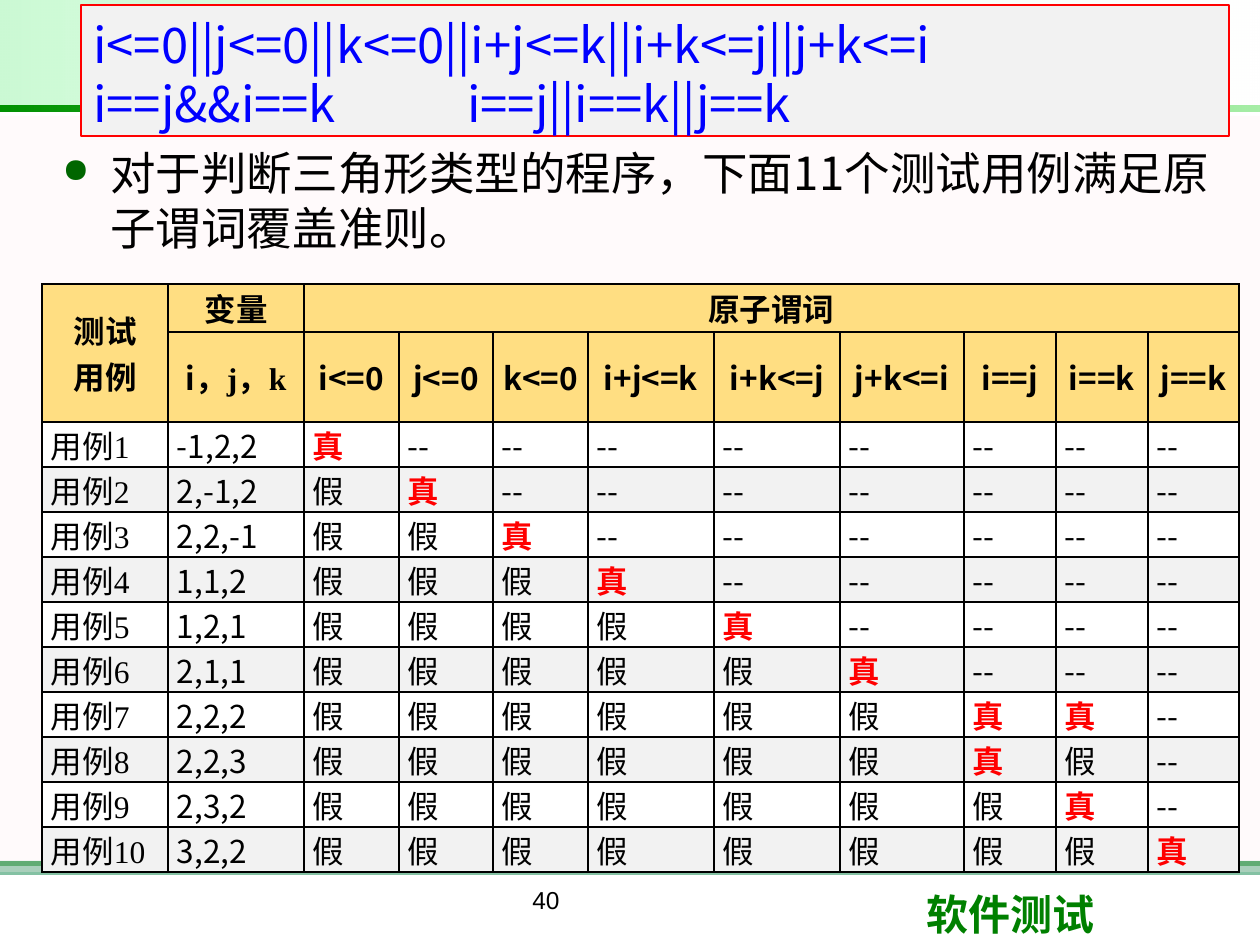
import pptx
import pptx.util
import pptx.dml.color
import pptx.enum.shapes
import pptx.enum.text
import pptx.oxml.ns
import lxml.etree

RGBColor = pptx.dml.color.RGBColor
ALIGN = pptx.enum.text.PP_ALIGN
ANCHOR = pptx.enum.text.MSO_ANCHOR
qn = pptx.oxml.ns.qn

EMU_PER_PX = 914400 / 126
WHITE = RGBColor(0xFF, 0xFF, 0xFF)
BLACK = RGBColor(0, 0, 0)
RED = RGBColor(0xFF, 0, 0)
BLUE = RGBColor(0, 0, 0xFF)
GREEN = RGBColor(0, 0x80, 0)
SEA_GREEN = RGBColor(0x33, 0x99, 0x66)
BLUSH = RGBColor(0xFF, 0xF0, 0xF5)
MINT = RGBColor(0x09, 0xE7, 0x33)
BRIGHT_GREEN = RGBColor(0, 0xCC, 0)
DEEP_GREEN = RGBColor(0, 0x92, 0)
BULLET_GREEN = RGBColor(0, 0x66, 0)
AMBER = RGBColor(0xFF, 0xC0, 0)
PALE_GREY = RGBColor(0xF2, 0xF2, 0xF2)

SANS = "Noto Sans CJK SC"
SERIF = "Times New Roman"
ARIAL = "Arial"

COLUMNS = [126, 136, 95, 94, 95, 126, 126, 124, 92, 92, 91]
PREDICATES = ["i<=0", "j<=0", "k<=0", "i+j<=k", "i+k<=j", "j+k<=i", "i==j", "i==k", "j==k"]
CASES = [
    ("-1,2,2", "真--------"),
    ("2,-1,2", "假真-------"),
    ("2,2,-1", "假假真------"),
    ("1,1,2", "假假假真-----"),
    ("1,2,1", "假假假假真----"),
    ("2,1,1", "假假假假假真---"),
    ("2,2,2", "假假假假假假真真-"),
    ("2,2,3", "假假假假假假真假-"),
    ("2,3,2", "假假假假假假假真-"),
    ("3,2,2", "假假假假假假假假真"),
]
ROWS = [48, 90] + [45] * len(CASES)


def px(length):
    return pptx.util.Emu(round(length * EMU_PER_PX))


def add_child(parent, tag, **attributes):
    return lxml.etree.SubElement(parent, qn(tag), attributes)


def set_opacity(colour_element, percent):
    add_child(colour_element, "a:alpha", val=str(percent * 1000))


def style_font(font, properties, name, size, colour, bold):
    font.size = pptx.util.Pt(size)
    font.bold = bold
    font.color.rgb = colour
    font.name = name
    latin = properties().find(qn("a:latin"))
    east_asian = lxml.etree.Element(qn("a:ea"), typeface=SANS)
    latin.addnext(east_asian)


def style_para(para, name, size, colour=BLACK, bold=False, align=ALIGN.LEFT):
    para.alignment = align
    style_font(para.font, lambda: para._p.pPr.find(qn("a:defRPr")), name, size, colour, bold)


def add_text(page, box, text, name, size, colour=BLACK, bold=False, align=ALIGN.LEFT):
    frame = page.shapes.add_textbox(*map(px, box)).text_frame
    frame.word_wrap = True
    para = frame.paragraphs[0]
    para.text = text
    style_para(para, name, size, colour, bold, align)
    return frame


def add_band(page, box, colour, opacity=100):
    band = page.shapes.add_shape(pptx.enum.shapes.MSO_SHAPE.RECTANGLE, *map(px, box))
    band.shadow.inherit = False
    band.line.fill.background()
    band.fill.solid()
    band.fill.fore_color.rgb = colour
    if opacity < 100:
        set_opacity(band._element.spPr.find(qn("a:solidFill") + "/" + qn("a:srgbClr")), opacity)
    return band


def add_gradient_band(page, box, stops):
    band = add_band(page, box, WHITE)
    band.rotation = 180
    band.fill.gradient()
    band.fill.gradient_angle = 0
    for stop, position, (colour, opacity) in zip(band.fill.gradient_stops, (0, 1), stops):
        stop.position = position
        stop.color.rgb = colour
    gradient = band._element.spPr.find(qn("a:gradFill"))
    for element, (colour, opacity) in zip(gradient.iter(qn("a:srgbClr")), stops):
        set_opacity(element, opacity)


def draw_backdrop(page, box):
    left, top, width, height = box
    add_band(page, (left, top + 861, width, 5), GREEN)
    add_band(page, (left, top + 861, width, 14), SEA_GREEN, 60)
    add_band(page, (left, top + 116, width, 756), BLUSH, 30)
    add_text(page, (left + 914, top + 882, 299, 63), "软件测试", ARIAL, 24, GREEN, True)
    add_gradient_band(page, (left, top, width - 1, 105), [(WHITE, 10), (MINT, 21)])
    add_gradient_band(page, (left, top + 105, width, 6), [(BRIGHT_GREEN, 35), (DEEP_GREEN, 100)])
    add_text(page, (left + 346, top + 879, 400, 66), "40", ARIAL, 14, align=ALIGN.CENTER)


def draw_statement(page, box):
    frame = add_text(page, box, "对于判断三角形类型的程序，下面11个测试用例满足原子谓词覆盖准则。", SANS, 26)
    frame.margin_top = px(9)
    para = frame.paragraphs[0]
    para.line_spacing = pptx.util.Pt(31.2)
    para.space_after = pptx.util.Pt(6)
    properties = para._p.pPr
    properties.set("marL", str(px(49)))
    properties.set("indent", str(-px(48)))
    bullet_colour = lxml.etree.Element(qn("a:buClr"))
    add_child(bullet_colour, "a:srgbClr", val=str(BULLET_GREEN))
    bullet_size = lxml.etree.Element(qn("a:buSzPct"), val="75000")
    bullet_mark = lxml.etree.Element(qn("a:buChar"), char="●")
    default_run = properties.find(qn("a:defRPr"))
    for element in (bullet_colour, bullet_size, bullet_mark):
        default_run.addprevious(element)


def style_cell(cell, colour, opacity=100, side=9):
    cell.margin_left = cell.margin_right = px(side)
    cell.margin_top = cell.margin_bottom = 0
    properties = cell._tc.get_or_add_tcPr()
    for edge in ("a:lnL", "a:lnR", "a:lnT", "a:lnB"):
        line = add_child(properties, edge, w=str(pptx.util.Pt(1)))
        add_child(add_child(line, "a:solidFill"), "a:srgbClr", val=str(BLACK))
    cell.fill.solid()
    cell.fill.fore_color.rgb = colour
    if opacity < 100:
        set_opacity(properties.find(qn("a:solidFill") + "/" + qn("a:srgbClr")), opacity)


def fill_head_cell(cell, text, name, side=9):
    style_cell(cell, AMBER, 48, side)
    cell.vertical_anchor = ANCHOR.MIDDLE
    cell.text = text
    for para in cell.text_frame.paragraphs:
        style_para(para, name, 18, bold=True, align=ALIGN.CENTER)


def fill_variable_head(cell):
    fill_head_cell(cell, "", SERIF, 0)
    para = cell.text_frame.paragraphs[0]
    for text, name in (("i", SANS), ("，j，k", SERIF)):
        span = para.add_run()
        span.text = text
        style_font(span.font, span._r.get_or_add_rPr, name, 18, BLACK, True)


def fill_case_row(table, number, values, verdicts):
    row = number + 1
    colour = WHITE if number % 2 else PALE_GREY
    texts = [f"用例{number}", values] + [verdict.replace("-", "--") for verdict in verdicts]
    for column, text in enumerate(texts):
        cell = table.cell(row, column)
        style_cell(cell, colour)
        cell.text = text
        hit = text == "真"
        name = SANS if column == 1 or text == "--" else SERIF
        style_para(cell.text_frame.paragraphs[0], name, 18, RED if hit else BLACK, hit, ALIGN.JUSTIFY)


def draw_case_table(page, box):
    table = page.shapes.add_table(len(ROWS), len(COLUMNS), *map(px, box)).table
    for column, width in zip(table.columns, COLUMNS):
        column.width = px(width)
    for row, height in zip(table.rows, ROWS):
        row.height = px(height)
    heads = ["测试\n用例", "变量", "原子谓词"] + [""] * (len(COLUMNS) - 3)
    for column, text in enumerate(heads):
        fill_head_cell(table.cell(0, column), text, SERIF)
    fill_head_cell(table.cell(1, 0), "", SERIF)
    fill_variable_head(table.cell(1, 1))
    for column, text in enumerate(PREDICATES, 2):
        fill_head_cell(table.cell(1, column), text, SANS, 0)
    table.cell(0, 0).merge(table.cell(1, 0))
    table.cell(0, 2).merge(table.cell(0, len(COLUMNS) - 1))
    for number, (values, verdicts) in enumerate(CASES, 1):
        fill_case_row(table, number, values, verdicts)


def draw_conditions(page, box):
    panel = add_band(page, box, PALE_GREY)
    panel.line.color.rgb = RED
    panel.line.width = pptx.util.Pt(0.75)
    frame = panel.text_frame
    frame.word_wrap = True
    frame.vertical_anchor = ANCHOR.TOP
    frame.margin_top = px(10)
    frame.text = "i<=0||j<=0||k<=0||i+j<=k||i+k<=j||j+k<=i\ni==j&&i==k\ti==j||i==k||j==k"
    for para in frame.paragraphs:
        para.line_spacing = pptx.util.Pt(33.6)
        tabs = add_child(para._p.get_or_add_pPr(), "a:tabLst")
        add_child(tabs, "a:tab", pos=str(px(374)), algn="l")
        style_para(para, SANS, 28, BLUE)


def main():
    deck = pptx.Presentation()
    deck.slide_width, deck.slide_height = px(1260), px(945)
    page = deck.slides.add_slide(deck.slide_layouts[6])
    draw_backdrop(page, (0, 0, 1260, 945))
    draw_statement(page, (49, 136, 1179, 703))
    draw_case_table(page, (42, 284, sum(COLUMNS), sum(ROWS)))
    draw_conditions(page, (81, 5, 1148, 131))
    deck.save("out.pptx")


if __name__ == "__main__":
    main()
